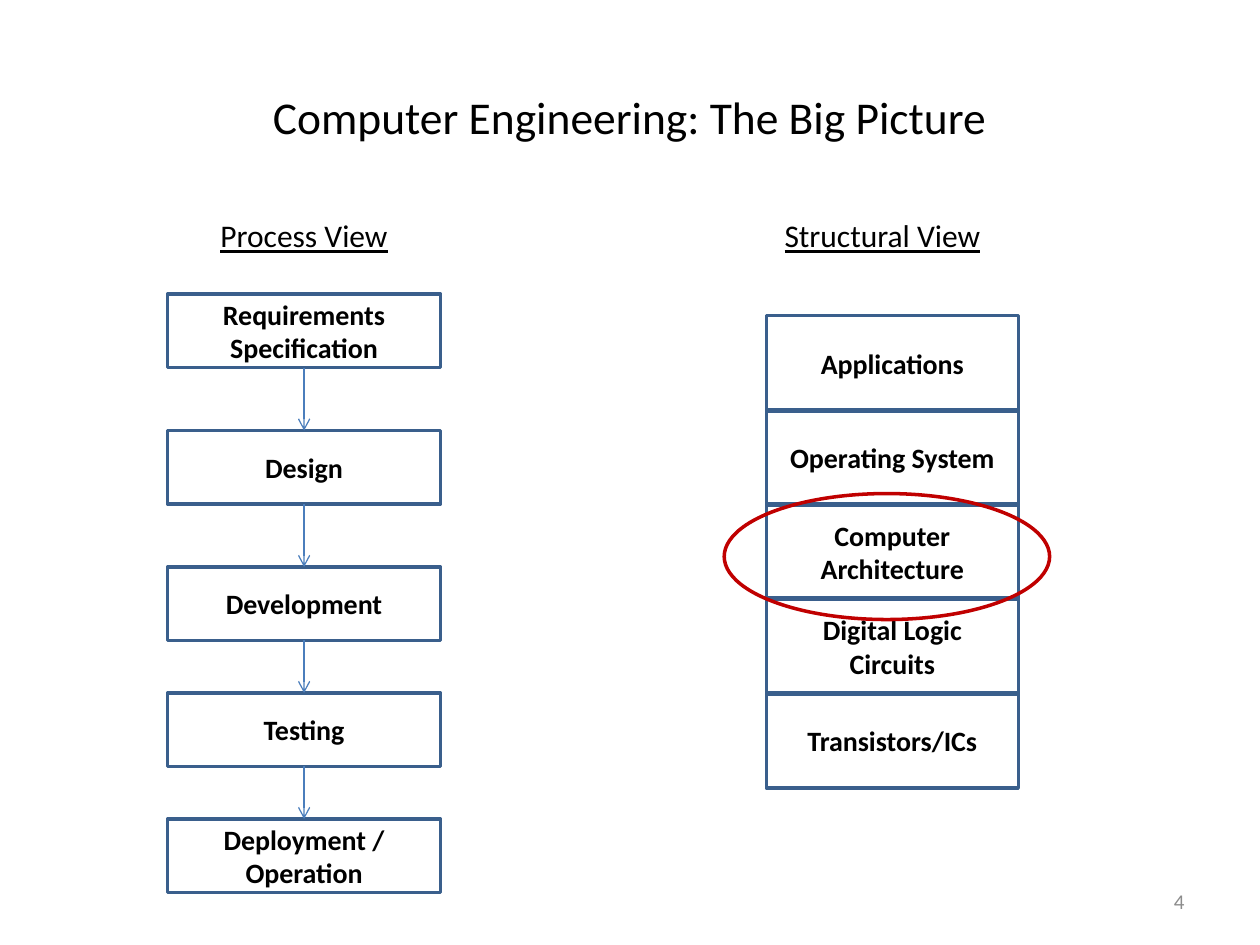
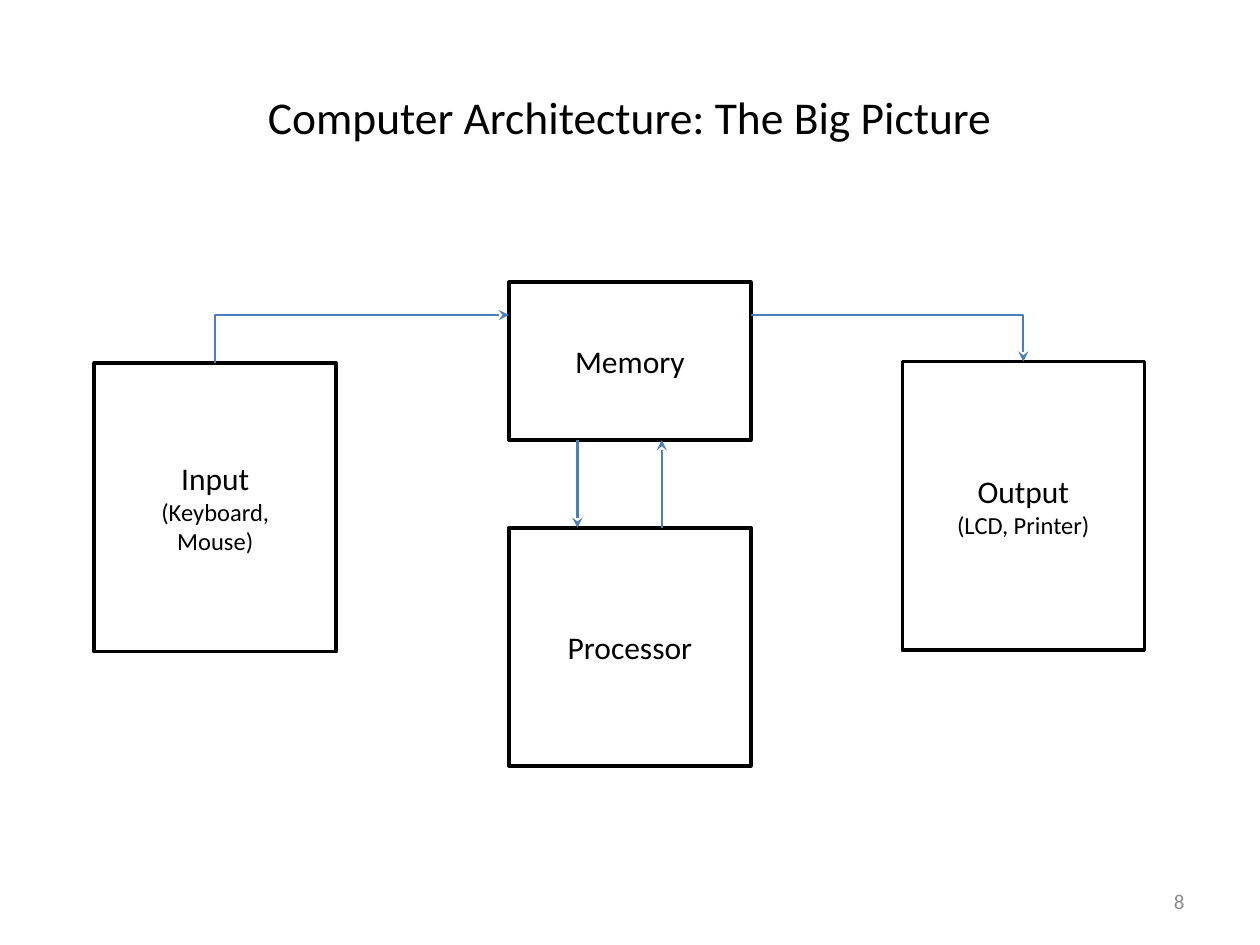
from itertools import pairwise

from lxml.etree import SubElement
from pptx import Presentation
from pptx.dml.color import RGBColor
from pptx.enum.shapes import MSO_CONNECTOR, MSO_SHAPE
from pptx.enum.text import MSO_ANCHOR, PP_ALIGN
from pptx.oxml.ns import qn
from pptx.util import Cm, Pt

COLORS = {
    "text": "000000",
    "number": "8C8C8C",
    "background": "FFFFFF",
    "stage": "3A5F8C",
    "arrow": "4B7EBC",
    "highlight": "C00000",
    "unit": "000000",
}
FONT = "Calibri"

ENGINEERING = {
    "title": "Computer Engineering: The Big Picture",
    "number": "4",
    "headings": [("Process View", 3.38), ("Structural View", 15.04)],
    "stages": [
        (["Requirements", "Specification"], 5.93),
        (["Design"], 8.68),
        (["Development"], 11.43),
        (["Testing"], 13.97),
        (["Deployment / Operation"], 16.51),
    ],
    "layers": [
        "Applications",
        "Operating System",
        "Computer Architecture",
        "Digital Logic Circuits",
        "Transistors/ICs",
    ],
}
ARCHITECTURE = {
    "title": "Computer Architecture: The Big Picture",
    "number": "8",
    "units": {
        "Input": (["(Keyboard,", "Mouse)"], 1.9, 7.32, 5.82),
        "Output": (["(LCD, Printer)"], 18.19, 7.29, 5.82),
        "Memory": ([], 10.26, 5.69, 3.18),
        "Processor": ([], 10.26, 10.64, 4.8),
    },
}
UNIT_WIDTH = 4.88
BUS_LEVEL = 6.35


def color(name):
    return RGBColor.from_string(COLORS[name])


def write(shape, lines, size=16, sizes=None, bold=False, underline=False,
          ink="text", align=PP_ALIGN.CENTER, anchor=MSO_ANCHOR.MIDDLE):
    frame = shape.text_frame
    frame.word_wrap = True
    frame.vertical_anchor = anchor
    for index, line in enumerate(lines):
        para = frame.paragraphs[0] if index == 0 else frame.add_paragraph()
        para.alignment = align
        span = para.add_run()
        span.text = line
        font = span.font
        font.name = FONT
        font.size = Pt(sizes[index] if sizes else size)
        font.bold = bold
        font.underline = underline
        font.color.rgb = color(ink)


def add_label(page, text, left, top, width, height, **style):
    label = page.shapes.add_textbox(Cm(left), Cm(top), Cm(width), Cm(height))
    write(label, [text], **style)


def add_outline(page, left, top, width, height, line, fill=None, kind=MSO_SHAPE.RECTANGLE):
    box = page.shapes.add_shape(kind, Cm(left), Cm(top), Cm(width), Cm(height))
    box.shadow.inherit = False
    if fill:
        box.fill.solid()
        box.fill.fore_color.rgb = color(fill)
    else:
        box.fill.background()
    box.line.color.rgb = color(line)
    box.line.width = Pt(2)
    return box


def add_arrow(page, start, end, width, head, kind=MSO_CONNECTOR.STRAIGHT):
    arrow = page.shapes.add_connector(kind, *start, *end)
    arrow.line.color.rgb = color("arrow")
    arrow.line.width = Pt(width)
    SubElement(arrow.line._get_or_add_ln(), qn("a:tailEnd"), type=head)
    SubElement(arrow._element.spPr, qn("a:effectLst"))
    return arrow


def add_corner_arrow(page, start, end, upward=False):
    arrow = add_arrow(page, start, end, 1.25, "stealth", MSO_CONNECTOR.ELBOW)
    properties = arrow._element.spPr
    properties.find(qn("a:prstGeom")).set("prst", "bentConnector2")
    if upward:
        across, rise = arrow.width, arrow.height
        center_x, center_y = arrow.left + across // 2, arrow.top + rise // 2
        arrow.left, arrow.top = center_x - rise // 2, center_y - across // 2
        arrow.width, arrow.height = rise, across
        frame = properties.find(qn("a:xfrm"))
        frame.attrib.pop("flipV", None)
        frame.set("rot", str(270 * 60000))


def add_page(deck, content):
    page = deck.slides.add_slide(deck.slide_layouts[5])
    title = page.shapes.title
    title.left, title.top, title.width, title.height = Cm(1.27), Cm(0.76), Cm(22.86), Cm(3.18)
    write(title, [content["title"]], size=26)
    add_label(page, content["number"], 18.21, 17.65, 5.92, 1.02,
              size=12, ink="number", align=PP_ALIGN.RIGHT)
    return page


def build_engineering(deck):
    page = add_page(deck, ENGINEERING)
    for text, left in ENGINEERING["headings"]:
        add_label(page, text, left, 4.24, 5.5, 1.07, size=18, underline=True, anchor=MSO_ANCHOR.TOP)

    stages = []
    for lines, top in ENGINEERING["stages"]:
        stage = add_outline(page, 3.38, top, 5.5, 1.48, "stage")
        write(stage, lines, bold=True)
        stages.append(stage)
    for upper, lower in pairwise(stages):
        middle = upper.left + upper.width // 2
        arrow = add_arrow(page, (middle, upper.top + upper.height), (middle, lower.top), 0.75, "arrow")
        arrow.begin_connect(upper, 2)
        arrow.end_connect(lower, 0)

    for index, text in enumerate(ENGINEERING["layers"]):
        layer = add_outline(page, 15.45, 6.36 + 1.9 * index, 5.08, 1.93, "stage")
        write(layer, [text], bold=True)
    add_outline(page, 14.6, 9.95, 6.56, 2.54, "highlight", kind=MSO_SHAPE.OVAL)


def build_architecture(deck):
    page = add_page(deck, ARCHITECTURE)
    units = {}
    for name, (details, left, top, height) in ARCHITECTURE["units"].items():
        unit = add_outline(page, left, top, UNIT_WIDTH, height, "unit", fill="background")
        write(unit, [name, *details], sizes=[18] + [14] * len(details))
        units[name] = unit

    memory, processor = units["Memory"], units["Processor"]
    source, target = units["Input"], units["Output"]
    bus = Cm(BUS_LEVEL)
    add_corner_arrow(page, (source.left + source.width // 2, source.top), (memory.left, bus), upward=True)
    add_corner_arrow(page, (memory.left + memory.width, bus), (target.left + target.width // 2, target.top))

    memory_bottom = memory.top + memory.height
    down, up = Cm(11.64), Cm(13.34)
    add_arrow(page, (down, memory_bottom), (down, processor.top), 1.25, "stealth")
    add_arrow(page, (up, processor.top), (up, memory_bottom), 1.25, "stealth")


def main():
    deck = Presentation()
    deck.slide_width, deck.slide_height = Cm(25.4), Cm(19.05)
    build_engineering(deck)
    build_architecture(deck)
    deck.save("out.pptx")


if __name__ == "__main__":
    main()
